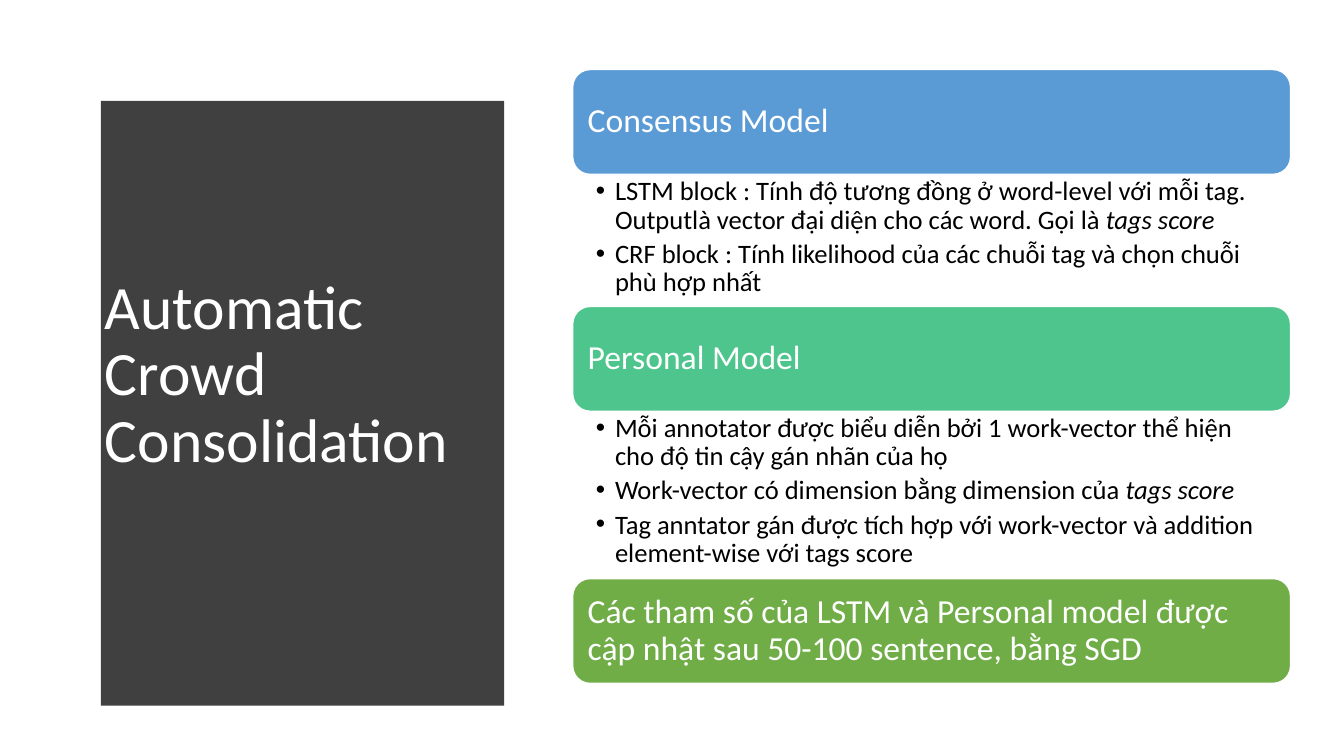
from lxml.etree import SubElement
from pptx import Presentation
from pptx.dml.color import RGBColor
from pptx.enum.shapes import MSO_SHAPE
from pptx.enum.text import MSO_ANCHOR, MSO_AUTO_SIZE, PP_ALIGN
from pptx.oxml.ns import qn
from pptx.util import Inches, Pt

COLORS = {
    "panel": "404040",
    "consensus": "5B9BD5",
    "personal": "4DC58D",
    "training": "70AD47",
    "light": "FFFFFF",
    "dark": "000000",
}
HEADING_HEIGHT = 1.04
HEADING_FRAME = {
    "word_wrap": True,
    "vertical_anchor": MSO_ANCHOR.MIDDLE,
    "margin_left": Inches(0.1),
    "margin_right": Inches(0.1),
    "margin_top": Inches(0.1),
    "margin_bottom": Inches(0.1),
}
DETAIL_FRAME = {
    "word_wrap": True,
    "vertical_anchor": MSO_ANCHOR.TOP,
    "margin_left": Inches(0.23),
    "margin_right": Inches(0.19),
    "margin_top": Inches(0.03),
    "margin_bottom": Inches(0.03),
}
TITLE_FRAME = {
    "word_wrap": True,
    "auto_size": MSO_AUTO_SIZE.NONE,
    "vertical_anchor": MSO_ANCHOR.MIDDLE,
}
LEFT_LINES = {"alignment": PP_ALIGN.LEFT, "line_spacing": 0.9}
DETAIL_LINES = {**LEFT_LINES, "level": 1, "space_after": Pt(3.8)}

SECTIONS = [
    ("consensus", "Consensus Model", 1.31, [
        [("LSTM block : Tính độ tương đồng ở word-level với mỗi tag. "
          "Outputlà vector đại diện cho các word. Gọi là ", False),
         ("tags score", True)],
        [("CRF block : Tính likelihood của các chuỗi tag và chọn chuỗi "
          "phù hợp nhất", False)],
    ]),
    ("personal", "Personal Model", 1.66, [
        [("Mỗi annotator được biểu diễn bởi 1 work-vector thể hiện "
          "cho độ tin cậy gán nhãn của họ", False)],
        [("Work-vector có dimension bằng dimension của ", False),
         ("tags score", True)],
        [("Tag anntator gán được tích hợp với work-vector và addition "
          "element-wise với tags score", False)],
    ]),
    ("training", "Các tham số của LSTM và Personal model được cập nhật "
                 "sau 50-100 sentence, bằng SGD", 0, []),
]


def color(name):
    """Return the named palette colour."""
    return RGBColor.from_string(COLORS[name])


def apply(target, values):
    """Set each format value on the target."""
    for key, value in values.items():
        setattr(target, key, value)


def add_run(paragraph, wording, size, shade, italic=False):
    """Append a formatted run to a paragraph."""
    run = paragraph.add_run()
    run.text = wording
    apply(run.font, {"name": "Calibri", "size": Pt(size), "italic": italic})
    run.font.color.rgb = color(shade)


def add_panel(slide, left, top, width, height):
    """Draw the dark panel with a bowed right edge and the title on it."""
    bulge, steps = 0.24, 40
    edge = []
    for step in range(steps + 1):
        offset = 2 * step / steps - 1
        edge.append((left + width - bulge * offset ** 2,
                     top + height * step / steps))
    builder = slide.shapes.build_freeform(left, top, scale=Inches(1))
    builder.add_line_segments(edge + [(left, top + height)], close=True)
    panel = builder.convert_to_shape()
    panel.shadow.inherit = False
    panel.fill.solid()
    panel.fill.fore_color.rgb = color("panel")
    panel.line.fill.background()

    title = slide.shapes.title
    title.element.addprevious(panel.element)
    apply(title, {
        "left": Inches(left + 0.41), "top": Inches(top + 0.59),
        "width": Inches(width - 1.05), "height": Inches(height - 1.2),
    })
    apply(title.text_frame, TITLE_FRAME)
    paragraph = title.text_frame.paragraphs[0]
    apply(paragraph, LEFT_LINES)
    add_run(paragraph, "Automatic Crowd Consolidation", 44, "light")


def add_heading(slide, wording, shade, left, top, width):
    """Draw a rounded heading bar."""
    bar = slide.shapes.add_shape(
        MSO_SHAPE.ROUNDED_RECTANGLE,
        Inches(left), Inches(top), Inches(width), Inches(HEADING_HEIGHT))
    bar.shadow.inherit = False
    bar.fill.solid()
    bar.fill.fore_color.rgb = color(shade)
    bar.line.color.rgb = color("light")
    bar.line.width = Pt(1)
    apply(bar.text_frame, HEADING_FRAME)
    paragraph = bar.text_frame.paragraphs[0]
    apply(paragraph, LEFT_LINES)
    add_run(paragraph, wording, 24, "light")


def add_details(slide, points, left, top, width, height):
    """Write the bulleted points below a heading."""
    frame = slide.shapes.add_textbox(
        Inches(left), Inches(top), Inches(width), Inches(height)).text_frame
    apply(frame, DETAIL_FRAME)
    for index, point in enumerate(points):
        paragraph = frame.add_paragraph() if index else frame.paragraphs[0]
        apply(paragraph, DETAIL_LINES)
        properties = paragraph._p.get_or_add_pPr()
        properties.set("marL", str(Inches(0.19)))
        properties.set("indent", str(Inches(-0.19)))
        SubElement(properties, qn("a:buFont")).set("typeface", "Arial")
        SubElement(properties, qn("a:buChar")).set("char", "•")
        for wording, italic in point:
            add_run(paragraph, wording, 19, "dark", italic)


def add_sections(slide, left, top, width):
    """Stack the headings and their details downwards."""
    for shade, heading, detail_height, points in SECTIONS:
        add_heading(slide, heading, shade, left, top, width)
        top += HEADING_HEIGHT
        if points:
            add_details(slide, points, left, top, width, detail_height)
        top += detail_height


def main():
    """Build and save the slide."""
    deck = Presentation()
    apply(deck, {"slide_width": Inches(13.33), "slide_height": Inches(7.5)})
    slide = deck.slides.add_slide(deck.slide_layouts.get_by_name("Title Only"))
    add_panel(slide, 0.53, 0.52, 4.79, 6.44)
    add_sections(slide, 5.68, 0.69, 7.12)
    deck.save("out.pptx")


if __name__ == "__main__":
    main()
